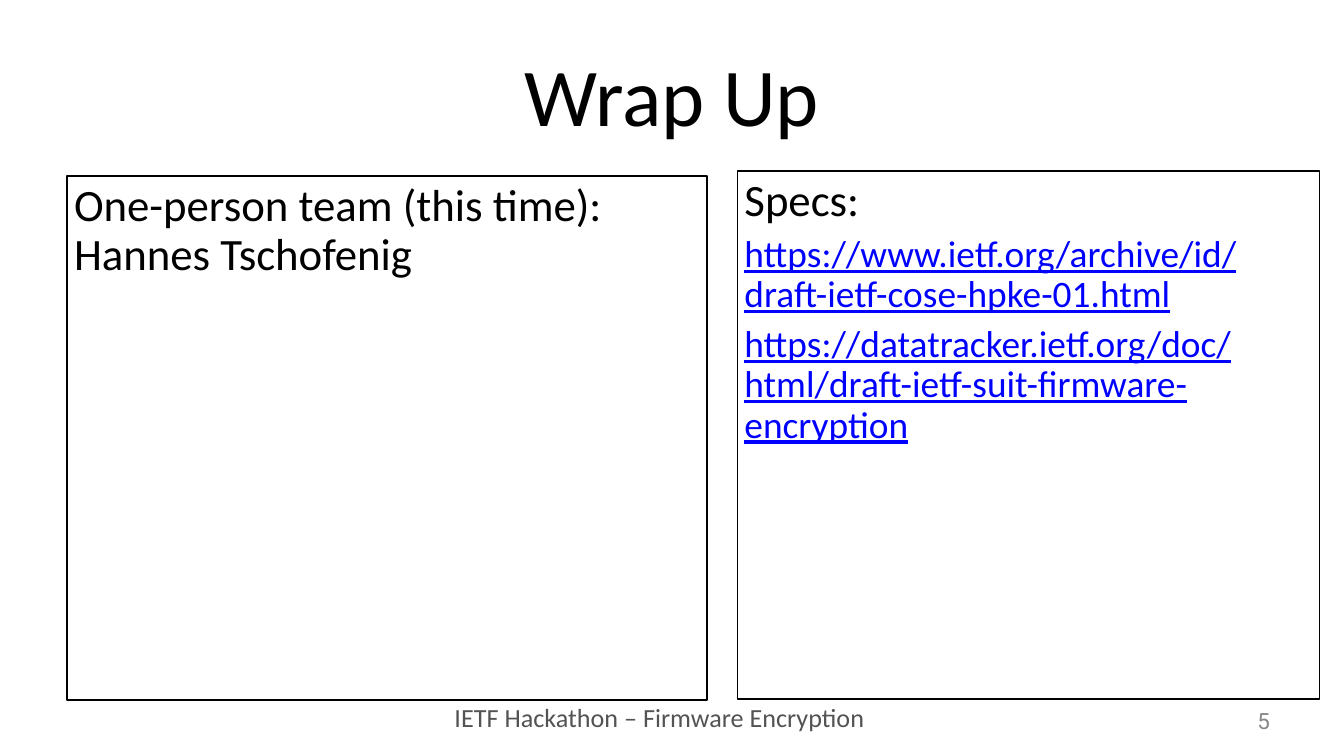
"""Build the wrap-up slide of a hackathon talk."""
import pptx
import pptx.util
import pptx.dml.color
import pptx.enum.text

Cm, Pt = pptx.util.Cm, pptx.util.Pt
ALIGN, ANCHOR = pptx.enum.text.PP_ALIGN, pptx.enum.text.MSO_ANCHOR


def rgb(value):
    """Return a colour from a hex string."""
    return pptx.dml.color.RGBColor.from_string(value)


class Deck:
    """Hold the style and the current slide."""

    font, ink, link, inset = "Calibri", "000000", "0000FF", 0.13

    def __init__(self, width, height):
        """Start a presentation with one title-only slide."""
        self.prs = pptx.Presentation()
        self.prs.slide_width, self.prs.slide_height = Cm(width), Cm(height)
        self.s = self.prs.slides.add_slide(self.prs.slide_layouts[5])

    def frame(self, sp, wrap=True, anchor=ANCHOR.TOP):
        """Set up and return the text frame of a shape."""
        tf = sp.text_frame
        tf.word_wrap, tf.vertical_anchor = wrap, anchor
        tf.auto_size = pptx.enum.text.MSO_AUTO_SIZE.NONE
        tf.margin_left = tf.margin_right = Cm(self.inset)
        tf.margin_top = tf.margin_bottom = Cm(self.inset)
        return tf

    def paragraph(self, p, text, size, color=ink, font=font, align=ALIGN.LEFT):
        """Fill and format a paragraph."""
        p.text, p.alignment = text, align
        p.font.size, p.font.name = Pt(size), font
        p.font.color.rgb = rgb(color)

    def title(self, text, x, y, w, h):
        """Place the title."""
        sp = self.s.shapes.title
        sp.left, sp.top, sp.width, sp.height = Cm(x), Cm(y), Cm(w), Cm(h)
        tf = self.frame(sp, anchor=ANCHOR.MIDDLE)
        self.paragraph(tf.paragraphs[0], text, 44, align=ALIGN.CENTER)

    def panel(self, heading, links, x, y, w, h):
        """Add an outlined box with a heading and web addresses."""
        sp = self.s.shapes.add_textbox(Cm(x), Cm(y), Cm(w), Cm(h))
        sp.line.color.rgb, sp.line.width = rgb(self.ink), Pt(1)
        tf = self.frame(sp)
        self.paragraph(tf.paragraphs[0], heading, 24)
        for address in links:
            p = tf.add_paragraph()
            self.paragraph(p, address, 20, self.link)
            p.font.underline = True
        for p in tf.paragraphs:
            p.line_spacing, p.space_before = 0.9, Pt(5)

    def label(self, text, x, y, w, h, anchor=ANCHOR.TOP, **style):
        """Add a single unwrapped line of text."""
        sp = self.s.shapes.add_textbox(Cm(x), Cm(y), Cm(w), Cm(h))
        tf = self.frame(sp, wrap=False, anchor=anchor)
        self.paragraph(tf.paragraphs[0], text, **style)


deck = Deck(25.4, 14.29)
deck.label("IETF Hackathon – Firmware Encryption", 8.46, 13.13, 8.1, 0.86,
           size=14, color="535353")
deck.title("Wrap Up", 1.27, 0.58, 22.86, 2.39)
deck.panel("One-person team (this time): Hannes Tschofenig", [],
           1.27, 3.33, 12.09, 9.91)
deck.label("5", 23.62, 13.26, 0.51, 0.74, anchor=ANCHOR.MIDDLE,
           size=12, color="888888", font="Roboto", align=ALIGN.RIGHT)
deck.panel("Specs: ", [
    "https://www.ietf.org/archive/id/draft-ietf-cose-hpke-01.html",
    "https://datatracker.ietf.org/doc/html/draft-ietf-suit-firmware-encryption",
], 13.94, 3.23, 11, 9.98)
deck.prs.save("out.pptx")
